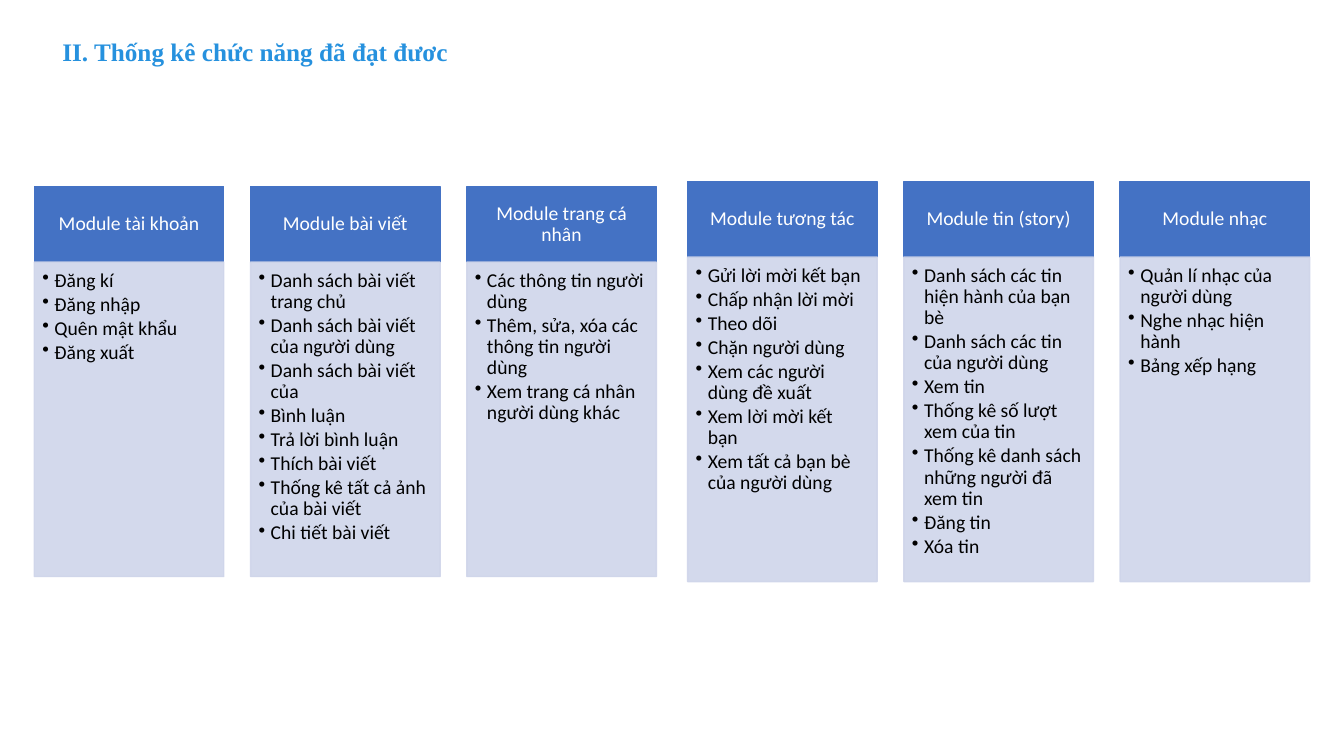
from dataclasses import dataclass

from lxml.etree import SubElement
from pptx import Presentation
from pptx.dml.color import RGBColor
from pptx.enum.shapes import MSO_SHAPE
from pptx.enum.text import MSO_ANCHOR, MSO_AUTO_SIZE, PP_ALIGN
from pptx.oxml.ns import qn
from pptx.util import Inches, Pt


@dataclass(frozen=True)
class Theme:
    title_font: str = "Times New Roman"
    body_font: str = "Calibri"
    title_size: int = 18
    body_size: int = 14
    title_color: str = "2691DE"
    header_fill: str = "4472C4"
    header_text: str = "FFFFFF"
    list_fill: str = "CFD5EA"
    list_text: str = "000000"
    list_opacity: int = 90


THEME = Theme()
COLUMN_WIDTH = 1.88
HEADER_HEIGHT = 0.75

TITLE = "II. Thống kê chức năng đã đạt đươc"
# Each group: its box (left, top, width, height) and its modules.
MODULE_GROUPS = [
    ((0.34, 1.85, 6.17, 3.87), {
        "Module tài khoản": [
            "Đăng kí", "Đăng nhập", "Quên mật khẩu", "Đăng xuất",
        ],
        "Module bài viết": [
            "Danh sách bài viết trang chủ",
            "Danh sách bài viết của người dùng",
            "Danh sách bài viết của",
            "Bình luận",
            "Trả lời bình luận",
            "Thích bài viết",
            "Thống kê tất cả ảnh của bài viết",
            "Chi tiết bài viết",
        ],
        "Module trang cá nhân": [
            "Các thông tin người dùng",
            "Thêm, sửa, xóa các thông tin người dùng",
            "Xem trang cá nhân người dùng khác",
        ],
    }),
    ((6.82, 1.8, 6.17, 3.97), {
        "Module tương tác": [
            "Gửi lời mời kết bạn",
            "Chấp nhận lời mời",
            "Theo dõi",
            "Chặn người dùng",
            "Xem các người dùng đề xuất",
            "Xem lời mời kết bạn",
            "Xem tất cả bạn bè của người dùng",
        ],
        "Module tin (story)": [
            "Danh sách các tin hiện hành của bạn bè",
            "Danh sách các tin của người dùng",
            "Xem tin",
            "Thống kê số lượt xem của tin",
            "Thống kê danh sách những người đã xem tin",
            "Đăng tin",
            "Xóa tin",
        ],
        "Module nhạc": [
            "Quản lí nhạc của người dùng",
            "Nghe nhạc hiện hành",
            "Bảng xếp hạng",
        ],
    }),
]


def style_font(paragraph, name, size, color, bold=False):
    font = paragraph.font
    font.name = name
    font.size = Pt(size)
    font.bold = bold
    font.color.rgb = RGBColor.from_string(color)


def add_panel(slide, box, color, margins):
    """Add a filled rectangle; margins run left, top, right, bottom."""
    shape = slide.shapes.add_shape(MSO_SHAPE.RECTANGLE, *map(Inches, box))
    shape.shadow.inherit = False
    shape.fill.solid()
    shape.fill.fore_color.rgb = RGBColor.from_string(color)
    shape.line.color.rgb = RGBColor.from_string(color)
    shape.line.width = Pt(1)
    frame = shape.text_frame
    frame.word_wrap = True
    (frame.margin_left, frame.margin_top,
     frame.margin_right, frame.margin_bottom) = map(Inches, margins)
    return shape


def set_opacity(shape, percent):
    """Apply one opacity to both the fill and the outline."""
    for color in shape.fill._xPr.iter(qn("a:srgbClr")):
        SubElement(color, qn("a:alpha"), val=str(percent * 1000))


def add_bullet(paragraph, indent):
    properties = paragraph._p.get_or_add_pPr()
    properties.set("marL", str(Inches(indent)))
    properties.set("indent", str(-Inches(indent)))
    SubElement(properties, qn("a:buChar"), char="•")


def add_title(slide, box, text):
    frame = slide.shapes.add_textbox(*map(Inches, box)).text_frame
    frame.word_wrap = False
    frame.auto_size = MSO_AUTO_SIZE.SHAPE_TO_FIT_TEXT
    frame.text = text
    style_font(frame.paragraphs[0], THEME.title_font, THEME.title_size,
               THEME.title_color, bold=True)


def add_module_header(slide, box, name):
    header = add_panel(slide, box, THEME.header_fill, (0.11, 0.06, 0.11, 0.06))
    frame = header.text_frame
    frame.vertical_anchor = MSO_ANCHOR.MIDDLE
    frame.text = name
    paragraph = frame.paragraphs[0]
    paragraph.alignment = PP_ALIGN.CENTER
    paragraph.line_spacing = 0.9
    style_font(paragraph, THEME.body_font, THEME.body_size, THEME.header_text)


def add_feature_list(slide, box, features):
    panel = add_panel(slide, box, THEME.list_fill, (0.08, 0.08, 0.11, 0.12))
    set_opacity(panel, THEME.list_opacity)
    frame = panel.text_frame
    frame.vertical_anchor = MSO_ANCHOR.TOP
    frame.text = "\n".join(features)
    for paragraph in frame.paragraphs:
        add_bullet(paragraph, 0.12)
        paragraph.alignment = PP_ALIGN.LEFT
        paragraph.line_spacing = 0.9
        paragraph.space_after = Pt(2)
        style_font(paragraph, THEME.body_font, THEME.body_size, THEME.list_text)


def add_module_group(slide, box, modules):
    """Spread the module columns evenly across the box."""
    left, top, width, height = box
    pitch = (width - COLUMN_WIDTH) / (len(modules) - 1)
    for index, (name, features) in enumerate(modules.items()):
        x = left + index * pitch
        add_module_header(slide, (x, top, COLUMN_WIDTH, HEADER_HEIGHT), name)
        add_feature_list(slide, (x, top + HEADER_HEIGHT, COLUMN_WIDTH,
                                 height - HEADER_HEIGHT), features)


def main():
    presentation = Presentation()
    presentation.slide_width = Inches(13.33)
    presentation.slide_height = Inches(7.5)
    slide = presentation.slides.add_slide(presentation.slide_layouts[6])
    add_title(slide, (0.52, 0.31, 4.06, 0.71), TITLE)
    for box, modules in MODULE_GROUPS:
        add_module_group(slide, box, modules)
    presentation.save("out.pptx")


if __name__ == "__main__":
    main()
